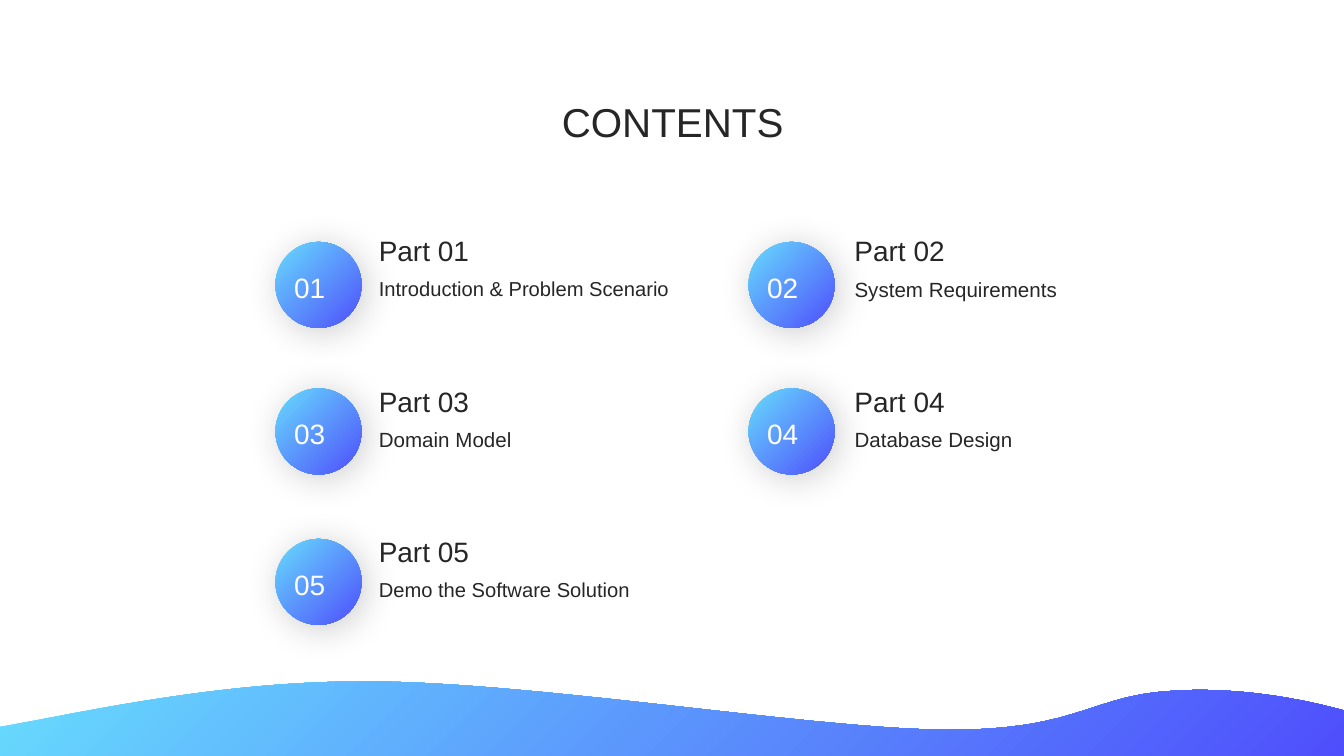
from lxml.etree import SubElement
from pptx import Presentation
from pptx.dml.color import RGBColor
from pptx.enum.shapes import MSO_SHAPE
from pptx.enum.text import MSO_ANCHOR, MSO_AUTO_SIZE, PP_ALIGN
from pptx.oxml.ns import qn
from pptx.util import Inches, Pt

TITLE = "CONTENTS"
PARTS = [
    ("Introduction & Problem Scenario", 10.8),
    ("System Requirements", 11),
    ("Domain Model", 11),
    ("Database Design", 11),
    ("Demo the Software Solution", 10.8),
]
COLUMNS = [(2.05, 2.725), (5.57, 6.26)]
COLUMNS = [(2.05, 2.72), (5.57, 6.26)]
ROWS = [(1.8, 1.67), (2.89, 2.79), (4.01, 3.91)]
DISC = 0.64
INK, WHITE, CYAN, BLUE = "262626", "FFFFFF", "67DCFD", "4F4EFC"
WAVE_START = (-0.01, 5.41)
WAVE = [
    ((0.53, 5.32), (1.58, 5.07), (2.71, 5.07)),
    ((3.95, 5.07), (6.02, 5.42), (7.02, 5.43)),
    ((8.03, 5.44), (8.11, 5.17), (8.74, 5.14)),
    ((9.21, 5.11), (9.69, 5.2), (10.01, 5.29)),
]
WAVE_BASE = [(10.01, 5.64), (-0.01, 5.64)]
STEPS = 30


def rgb(value):
    return RGBColor.from_string(value)


def paint(shape):
    shape.shadow.inherit = False
    shape.line.fill.background()
    shape.fill.gradient()
    shape.fill.gradient_angle = 315
    for stop, color in zip(shape.fill.gradient_stops, (CYAN, BLUE)):
        stop.color.rgb = rgb(color)


def add_glow(shape):
    effects = shape._element.spPr.find(qn("a:effectLst"))
    shadow = SubElement(effects, qn("a:outerShdw"), blurRad=str(Pt(20)),
                        dist=str(Pt(3)), dir="2700000", algn="tl", rotWithShape="0")
    color = SubElement(shadow, qn("a:srgbClr"), val="000000")
    SubElement(color, qn("a:alpha"), val="20000")


def write(shape, text, size, color=INK, anchor=MSO_ANCHOR.TOP):
    tf = shape.text_frame
    tf.word_wrap = True
    tf.auto_size = MSO_AUTO_SIZE.NONE
    tf.vertical_anchor = anchor
    p = tf.paragraphs[0]
    p.alignment = PP_ALIGN.LEFT
    r = p.add_run()
    r.text = text
    r.font.name = "Arial"
    r.font.size = Pt(size)
    r.font.color.rgb = rgb(color)


def add_text(s, box, *args, **kwargs):
    write(s.shapes.add_textbox(*map(Inches, box)), *args, **kwargs)


def bezier(a, b, c, d, t):
    u = 1 - t
    return tuple(u**3 * i + 3 * u * u * t * j + 3 * u * t * t * k + t**3 * m
                 for i, j, k, m in zip(a, b, c, d))


def add_wave(s):
    points = [WAVE_START]
    for curve in WAVE:
        start = points[-1]
        points += [bezier(start, *curve, n / STEPS) for n in range(1, STEPS + 1)]
    fb = s.shapes.build_freeform(*map(Inches, WAVE_START))
    fb.add_line_segments([(Inches(x), Inches(y)) for x, y in points[1:] + WAVE_BASE])
    paint(fb.convert_to_shape())


def add_part(s, index, name, size):
    row, col = divmod(index, len(COLUMNS))
    disc_x, text_x = COLUMNS[col]
    disc_y, text_y = ROWS[row]
    number = f"{index + 1:02d}"
    disc = s.shapes.add_shape(MSO_SHAPE.OVAL, *map(Inches, (disc_x, disc_y, DISC, DISC)))
    paint(disc)
    add_glow(disc)
    add_text(s, (disc_x + 0.04, disc_y + 0.08, 0.56, 0.51), number, 15, WHITE,
             MSO_ANCHOR.MIDDLE)
    add_text(s, (text_x, text_y, 1.63, 0.37), f"Part {number}", 15,
             anchor=MSO_ANCHOR.BOTTOM)
    add_text(s, (text_x, text_y + 0.34, 2.49, 0.49), name, size)


def main():
    """Build the contents slide."""
    prs = Presentation()
    prs.slide_width, prs.slide_height = Inches(10), Inches(10 * 9 / 16)
    s = prs.slides.add_slide(prs.slide_layouts[5])
    add_wave(s)
    title = s.shapes.title
    title.left, title.top, title.width, title.height = map(Inches, (4.08, 0.67, 1.93, 0.48))
    write(title, TITLE, 21.6, anchor=MSO_ANCHOR.TOP)
    for index, (name, size) in enumerate(PARTS):
        add_part(s, index, name, size)
    prs.save("out.pptx")


if __name__ == "__main__":
    main()
